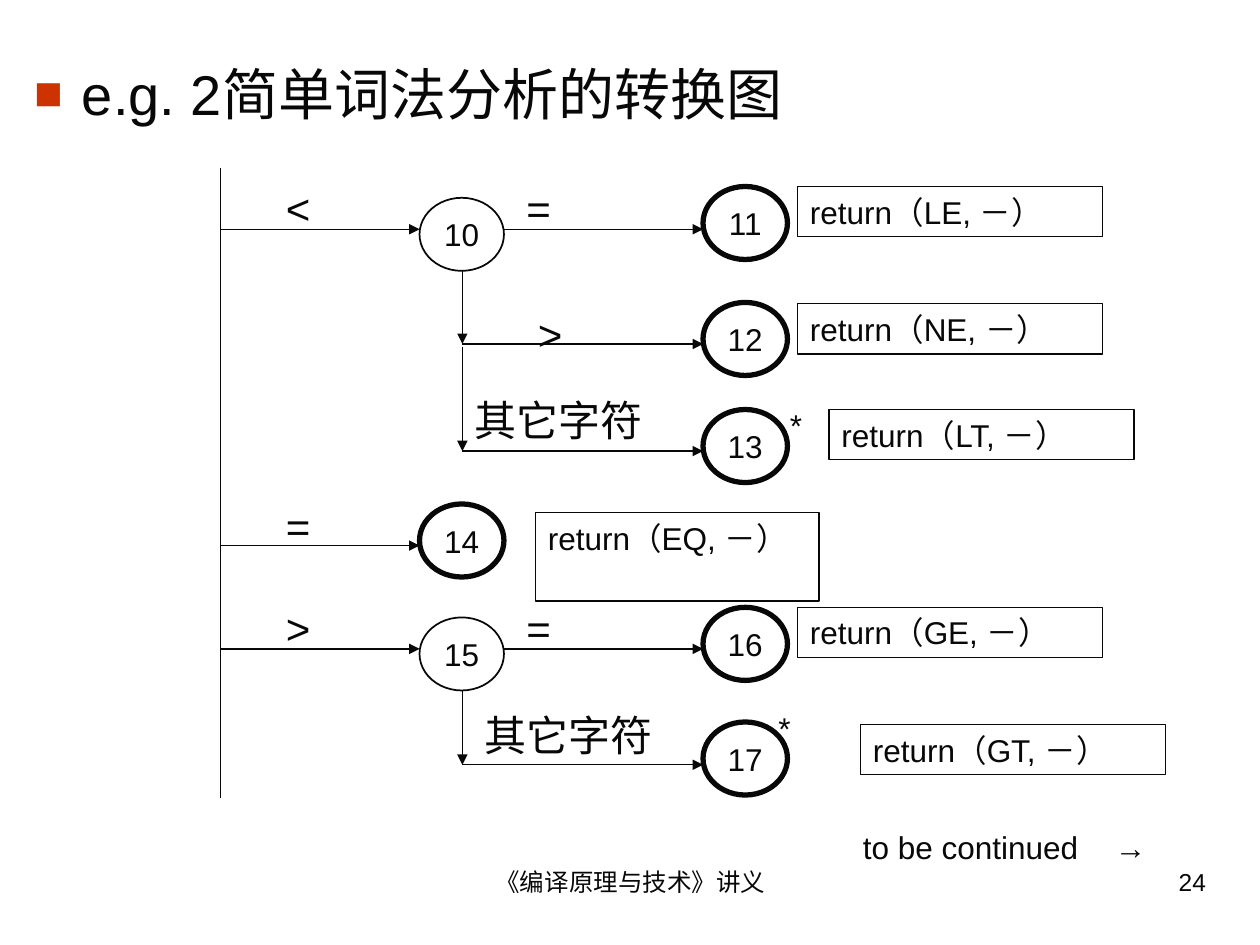
"""Build the slide showing the transition diagram of a simple lexical analyser."""
from lxml.etree import SubElement
from pptx import Presentation
from pptx.dml.color import RGBColor
from pptx.enum.shapes import MSO_CONNECTOR, MSO_SHAPE
from pptx.enum.text import MSO_ANCHOR, MSO_AUTO_SIZE as AUTO, PP_ALIGN as ALIGN
from pptx.oxml.ns import qn
from pptx.util import Inches, Pt

THEME = {
    "font": "Arial", "ink": RGBColor.from_string("080808"), "bullet": "CC3300",
    "title": 32, "symbol": 24, "body": 18, "footer": 14,
    "thin": 0.75, "state": 1, "final": 3,
}
HEADING = "e.g. 2简单词法分析的转换图"
AXIS_X, AXIS_TOP, AXIS_BOTTOM = 1.75, 1.33, 6.33
MID_X, END_X = 3.33, 5.58
STATE_W, STATE_H = 0.67, 0.58
BRANCH_X, MID_RIGHT = 3.67, 4
BOX_W, BOX_H = 2.42, 0.4

STATES = [
    ("10", MID_X, 1.57, "state"), ("11", END_X, 1.48, "final"),
    ("12", END_X, 2.4, "final"), ("13", END_X, 3.25, "final"),
    ("14", MID_X, 4, "final"), ("15", MID_X, 4.9, "state"),
    ("16", END_X, 4.82, "final"), ("17", END_X, 5.73, "final"),
]
ENTRY_ROWS = [1.82, 4.33, 5.15]
EQUAL_ROWS = [1.82, 5.15]
BRANCHES = [(2.15, 2.73), (2.75, 3.58), (5.48, 6.07)]
SYMBOLS = [
    ("<", 2.17, 1.4, 0.92), ("=", 4.08, 1.4, 1.67), (">", 4.17, 2.4, 1.25),
    ("其它字符", 3.67, 3.08, 1.67), ("=", 2.17, 3.92, 0.92),
    (">", 2.17, 4.73, 0.92), ("=", 4.08, 4.73, 1.67), ("其它字符", 3.75, 5.58, 1.67),
]
RETURNS = [
    ("LE", 6.33, 1.48, BOX_W, BOX_H), ("NE", 6.33, 2.41, BOX_W, BOX_H),
    ("LT", 6.58, 3.25, BOX_W, BOX_H), ("EQ", 4.25, 4.07, 2.25, 0.7),
    ("GE", 6.33, 4.82, BOX_W, BOX_H), ("GT", 6.83, 5.75, BOX_W, BOX_H),
]
NOTES = [
    ("*", 6.17, 3.17, 0.33), ("*", 6.08, 5.58, 0.67),
    ("to be continued\t→", 6.75, 6.52, 2.92),
]
FOOTERS = [
    ("《编译原理与技术》讲义", 3.42, 3.17, ALIGN.CENTER),
    ("24", 7.17, 2.5, ALIGN.RIGHT),
]


def write(sp, text, size, align=ALIGN.LEFT, before=0):
    p = sp.text_frame.paragraphs[0]
    p.alignment = align
    p.space_before = Pt(before)
    r = p.add_run()
    r.text = text
    r.font.size = Pt(THEME[size])
    r.font.name = THEME["font"]
    r.font.color.rgb = THEME["ink"]
    return p


def add_text(slide, text, box, size, align=ALIGN.LEFT, grow=True):
    sp = slide.shapes.add_textbox(*map(Inches, box))
    tf = sp.text_frame
    tf.word_wrap = True
    tf.auto_size = AUTO.SHAPE_TO_FIT_TEXT if grow else AUTO.NONE
    write(sp, text, size, align, THEME[size] * 0.625 if grow else 0)


def add_outline(slide, kind, box, weight):
    sp = slide.shapes.add_shape(kind, *map(Inches, box))
    sp.shadow.inherit = False
    sp.fill.background()
    sp.line.color.rgb = THEME["ink"]
    sp.line.width = Pt(THEME[weight])
    return sp


def add_state(slide, name, x, y, weight):
    sp = add_outline(slide, MSO_SHAPE.OVAL, (x, y, STATE_W, STATE_H), weight)
    sp.text_frame.word_wrap = False
    sp.text_frame.vertical_anchor = MSO_ANCHOR.MIDDLE
    write(sp, name, "body", ALIGN.CENTER)


def add_return(slide, token, *box):
    sp = add_outline(slide, MSO_SHAPE.RECTANGLE, box, "thin")
    tf = sp.text_frame
    tf.word_wrap = True
    tf.vertical_anchor = MSO_ANCHOR.TOP
    tf.auto_size = AUTO.SHAPE_TO_FIT_TEXT
    write(sp, f"return（{token}, －）", "body", before=THEME["body"] * 0.625)


def add_line(slide, x1, y1, x2, y2, arrow=True):
    ln = slide.shapes.add_connector(MSO_CONNECTOR.STRAIGHT, *map(Inches, (x1, y1, x2, y2)))
    ln.line.color.rgb = THEME["ink"]
    ln.line.width = Pt(THEME["thin"])
    if arrow:
        SubElement(ln.line._get_or_add_ln(), qn("a:tailEnd"), type="triangle")
    SubElement(ln._element.spPr, qn("a:effectLst"))


def add_heading(slide):
    title, body = slide.placeholders
    title._element.getparent().remove(title._element)
    body.left, body.top, body.width, body.height = map(Inches, (0.17, 0.42, 9.34, 0.67))
    body.text_frame.auto_size = AUTO.NONE
    p = write(body, HEADING, "title", before=8)
    pPr = p._p.get_or_add_pPr()
    pPr.set("marL", str(Inches(0.38)))
    pPr.set("indent", str(Inches(-0.38)))
    SubElement(SubElement(pPr, qn("a:buClr")), qn("a:srgbClr"), val=THEME["bullet"])
    SubElement(pPr, qn("a:buSzPct"), val="85000")
    SubElement(pPr, qn("a:buFont"), typeface=THEME["font"])
    SubElement(pPr, qn("a:buChar"), char="■")


def main():
    prs = Presentation()
    prs.slide_width, prs.slide_height = Inches(10), Inches(7.5)
    slide = prs.slides.add_slide(prs.slide_layouts[1])
    add_heading(slide)
    for text, x, w, align in FOOTERS:
        add_text(slide, text, (x, 6.83, w, 0.52), "footer", align, grow=False)
    add_line(slide, AXIS_X, AXIS_TOP, AXIS_X, AXIS_BOTTOM, arrow=False)
    for y in ENTRY_ROWS:
        add_line(slide, AXIS_X, y, MID_X, y)
    for y in EQUAL_ROWS:
        add_line(slide, MID_RIGHT, y, END_X, y)
    for top, bottom in BRANCHES:
        add_line(slide, BRANCH_X, top, BRANCH_X, bottom)
        add_line(slide, BRANCH_X, bottom, END_X, bottom)
    for state in STATES:
        add_state(slide, *state)
    for entry in RETURNS:
        add_return(slide, *entry)
    for text, x, y, w in SYMBOLS:
        add_text(slide, text, (x, y, w, 0.5), "symbol")
    for text, x, y, w in NOTES:
        add_text(slide, text, (x, y, w, BOX_H), "body")
    prs.save("out.pptx")


if __name__ == "__main__":
    main()
